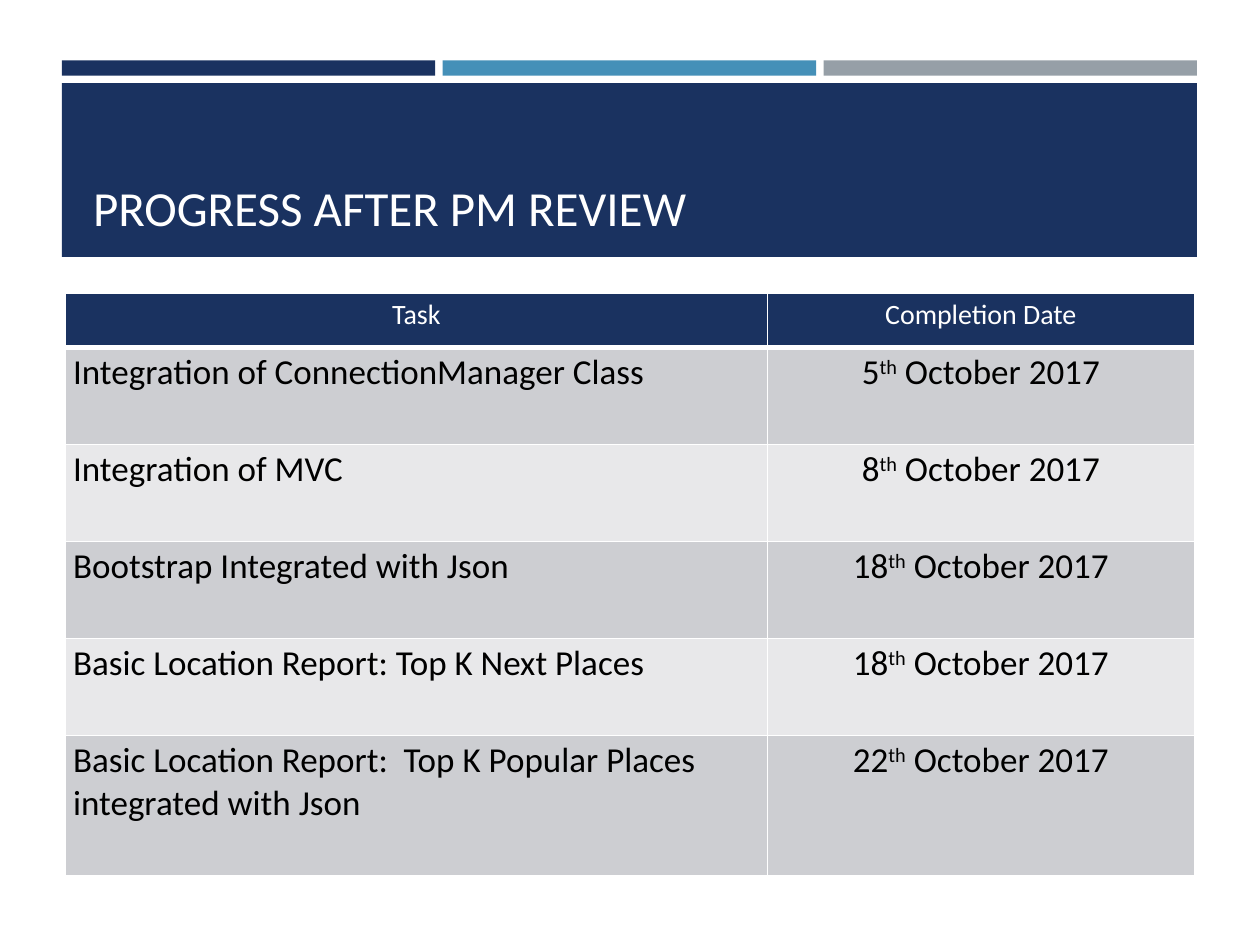
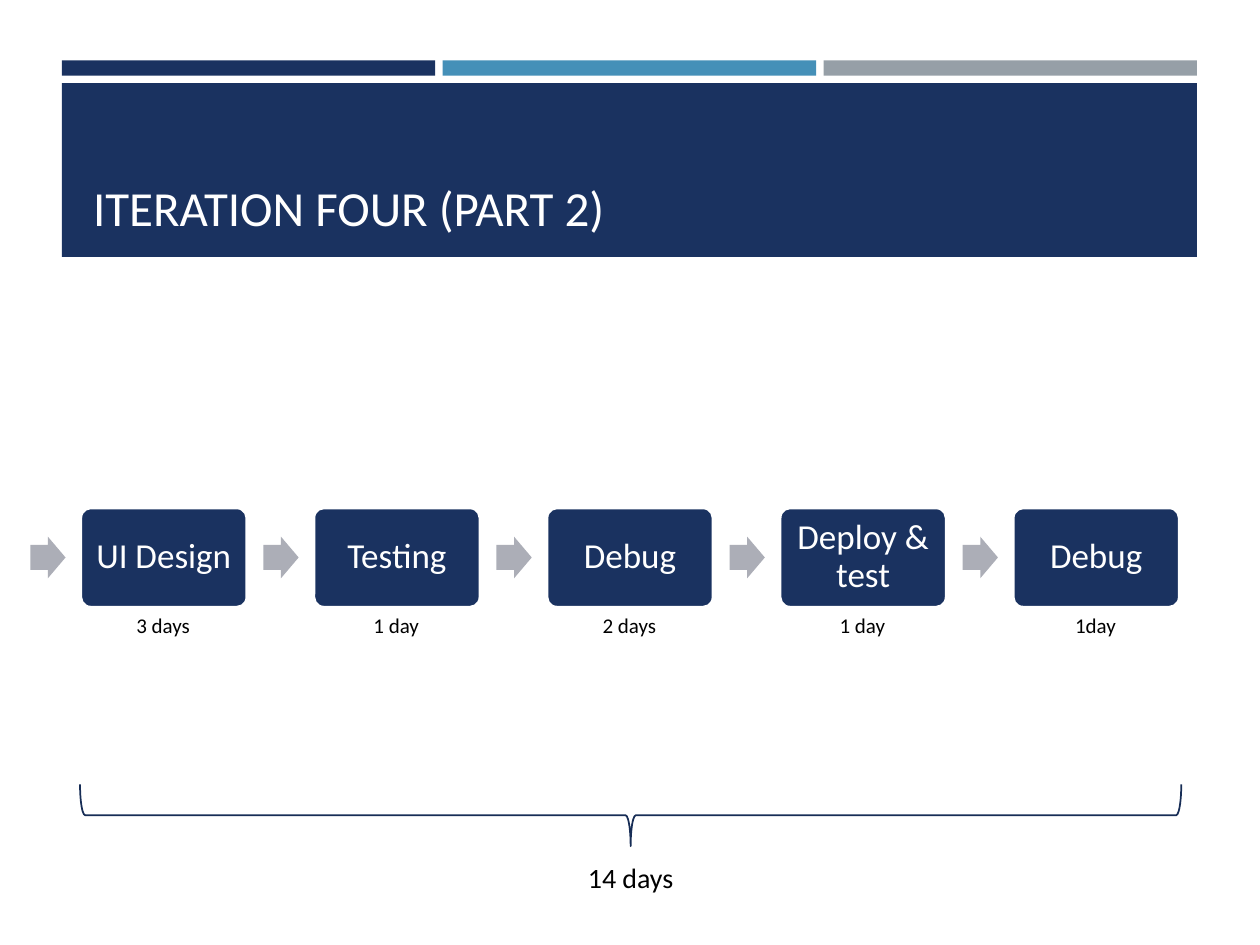
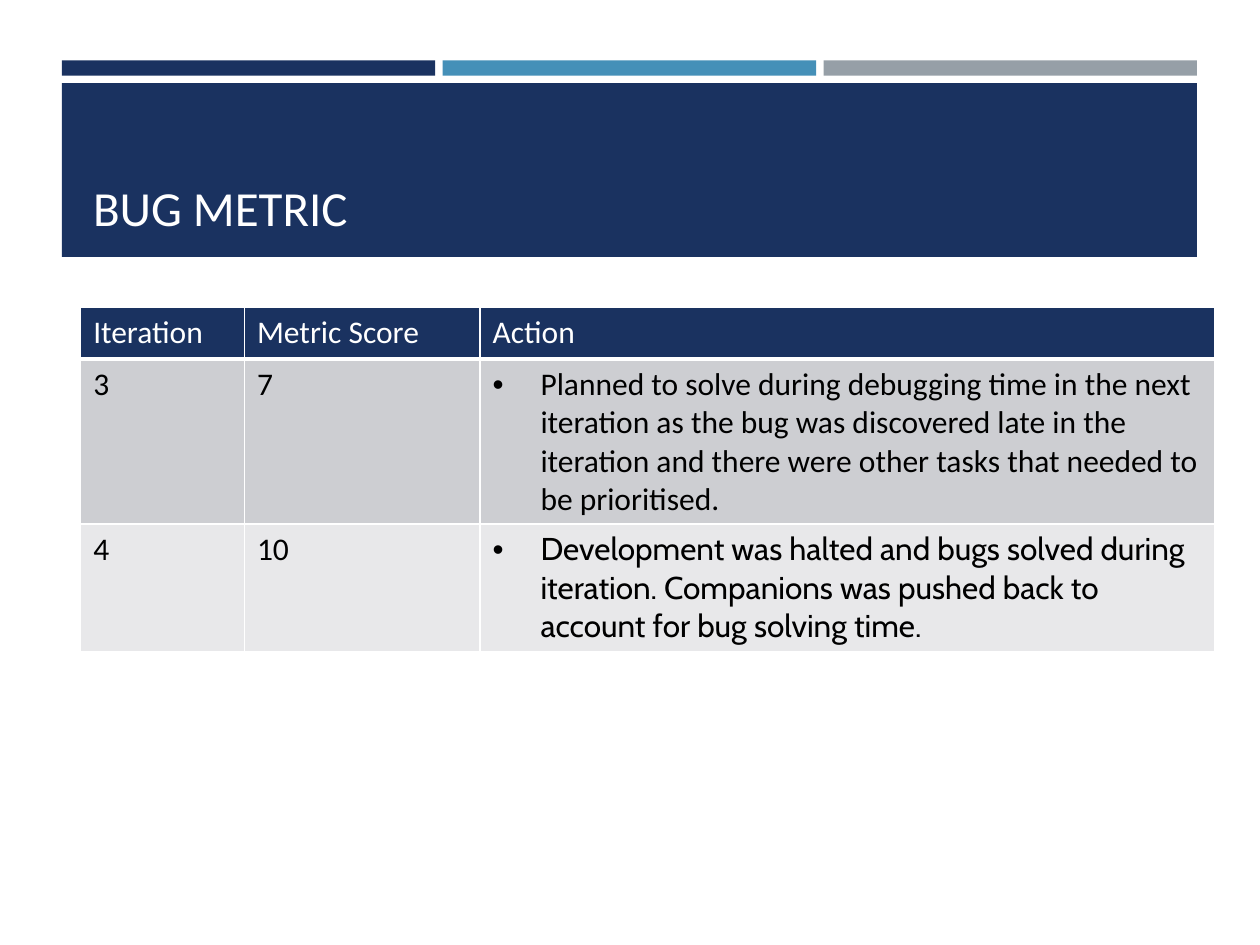
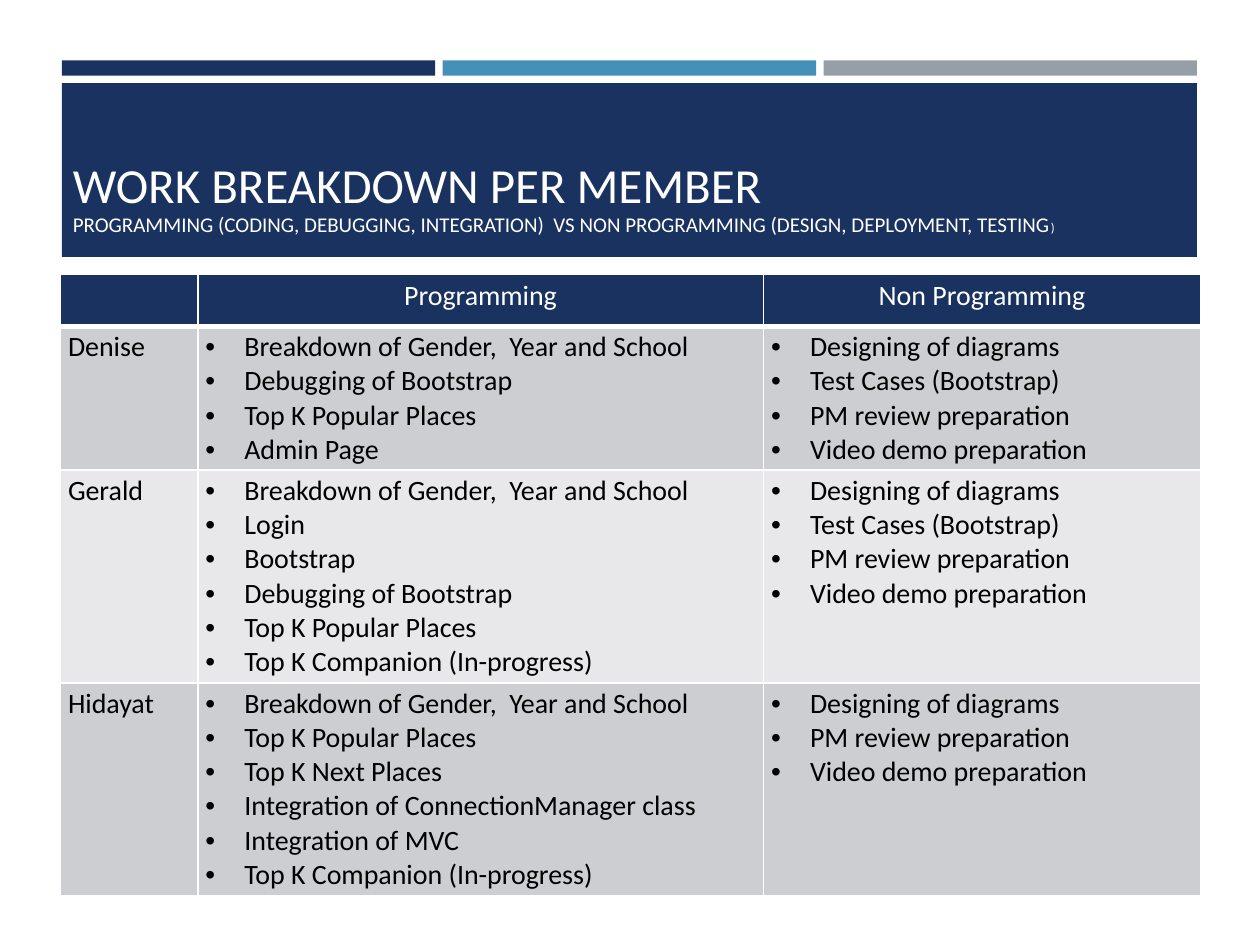
from lxml.etree import SubElement
from pptx import Presentation
from pptx.dml.color import RGBColor
from pptx.enum.shapes import MSO_SHAPE
from pptx.enum.text import MSO_ANCHOR, PP_ALIGN
from pptx.oxml.ns import qn
from pptx.util import Inches, Pt

NAVY = RGBColor(0x1A, 0x32, 0x60)
BLUE = RGBColor(0x45, 0x90, 0xB8)
GREY = RGBColor(0x96, 0x9F, 0xA7)
ARROW_GREY = RGBColor(0xAC, 0xAE, 0xB7)
BRACE_NAVY = RGBColor(0x17, 0x2D, 0x56)
DARK_ROW = RGBColor(0xCD, 0xCE, 0xD2)
LIGHT_ROW = RGBColor(0xE8, 0xE8, 0xEA)
WHITE = RGBColor(0xFF, 0xFF, 0xFF)
BLACK = RGBColor(0x00, 0x00, 0x00)
FONT = "Calibri"


def write(para, text, size, color=BLACK):
    """Append a run in the deck's font and return it."""
    span = para.add_run()
    span.text = text
    span.font.name = FONT
    span.font.size = Pt(size)
    span.font.bold = False
    span.font.color.rgb = color
    return span


def add_grid(page, left, top, widths, heights, rows, head_size, size,
             head_align=PP_ALIGN.CENTER, inset=0.06, indent=0.31):
    """Add a banded table; a cell given as a list becomes bullets."""
    grid = page.shapes.add_table(
        len(rows), len(widths), Inches(left), Inches(top),
        Inches(sum(widths)), Inches(sum(heights))).table
    for column, width in zip(grid.columns, widths):
        column.width = Inches(width)
    for r, (height, row) in enumerate(zip(heights, rows)):
        grid.rows[r].height = Inches(height)
        for c, content in enumerate(row):
            cell = grid.cell(r, c)
            cell.margin_left = cell.margin_right = Inches(inset)
            cell.margin_top = cell.margin_bottom = Inches(inset / 2)
            props = cell._tc.get_or_add_tcPr()
            for side in ("lnL", "lnR", "lnT", "lnB"):
                weight = 3 if r == 0 and side == "lnB" else 1
                border = SubElement(props, qn(f"a:{side}"), w=str(Pt(weight)))
                paint = SubElement(border, qn("a:solidFill"))
                SubElement(paint, qn("a:srgbClr"), val=str(WHITE))
            cell.fill.solid()
            cell.fill.fore_color.rgb = NAVY if r == 0 else (LIGHT_ROW, DARK_ROW)[r % 2]

            bulleted = isinstance(content, list)
            for i, text in enumerate(content if bulleted else [content]):
                frame = cell.text_frame
                para = frame.paragraphs[0] if i == 0 else frame.add_paragraph()
                if bulleted:
                    layout = para._p.get_or_add_pPr()
                    layout.set("marL", str(Inches(indent)))
                    layout.set("indent", str(-Inches(indent)))
                    SubElement(layout, qn("a:buFont"), typeface="Arial")
                    SubElement(layout, qn("a:buChar"), char="•")
                if r == 0:
                    para.alignment = head_align
                if text:
                    write(para, text, head_size if r == 0 else size,
                          WHITE if r == 0 else BLACK)
    return grid


deck = Presentation()
deck.slide_width = Inches(10)
deck.slide_height = Inches(7.5)

# Every page: three coloured strips above a title band
strip_gap = 0.06
strip_width = (9.01 - 2 * strip_gap) / 3
bands = [(0.49 + i * (strip_width + strip_gap), 0.48, strip_width, 0.12, color)
         for i, color in enumerate((NAVY, BLUE, GREY))]
bands.append((0.49, 0.66, 9.01, 1.38, NAVY))

titles = [
    ("PROGRESS AFTER PM REVIEW", 0.64),
    ("ITERATION FOUR (PART 2)", 0.64),
    ("BUG METRIC", 0.64),
    ("WORK BREAKDOWN PER MEMBER", 0.48),
]
pages = []
title_paras = []
for title, title_left in titles:
    page = deck.slides.add_slide(deck.slide_layouts[6])
    for left, top, width, height, color in bands:
        band = page.shapes.add_shape(
            MSO_SHAPE.RECTANGLE, Inches(left), Inches(top), Inches(width), Inches(height))
        band.shadow.inherit = False
        band.fill.solid()
        band.fill.fore_color.rgb = color
        band.line.fill.background()
    box = page.shapes.add_textbox(
        Inches(title_left), Inches(0.75), Inches(8.94), Inches(1.18))
    box.text_frame.word_wrap = True
    box.text_frame.vertical_anchor = MSO_ANCHOR.BOTTOM
    para = box.text_frame.paragraphs[0]
    para.line_spacing = 0.9
    write(para, title, 28, WHITE)
    pages.append(page)
    title_paras.append(para)
progress_page, iteration_page, bug_page, work_page = pages

# Progress after PM review
progress = [
    ("Integration of ConnectionManager Class", "5"),
    ("Integration of MVC", "8"),
    ("Bootstrap Integrated with Json", "18"),
    ("Basic Location Report: Top K Next Places", "18"),
    ("Basic Location Report:  Top K Popular Places integrated with Json", "22"),
]
progress_rows = [("Task", "Completion Date")] + [(task, "") for task, day in progress]
grid = add_grid(progress_page, 0.52, 2.33, [5.57, 3.39], [0.43] + [0.77] * 4 + [1.11],
                progress_rows, head_size=16, size=20)
for r, (task, day) in enumerate(progress, start=1):
    para = grid.cell(r, 1).text_frame.paragraphs[0]
    para.alignment = PP_ALIGN.CENTER
    write(para, day, 20)
    ordinal = write(para, "th", 20)
    ordinal._r.get_or_add_rPr().set("baseline", "30000")
    write(para, " October 2017", 20)

# Iteration four
steps = [
    ("UI Design", "3 days"),
    ("Testing", "1 day"),
    ("Debug", "2 days"),
    ("Deploy & test", "1 day"),
    ("Debug", "1day"),
]
labels = []
for i, (step, duration) in enumerate(steps):
    left = 0.64 + i * 1.85
    arrow = iteration_page.shapes.add_shape(
        MSO_SHAPE.RIGHT_ARROW, Inches(left - 0.4), Inches(4.26), Inches(0.28), Inches(0.33))
    arrow.adjustments[0] = 0.6
    arrow.shadow.inherit = False
    arrow.fill.solid()
    arrow.fill.fore_color.rgb = ARROW_GREY
    arrow.line.fill.background()

    block = iteration_page.shapes.add_shape(
        MSO_SHAPE.ROUNDED_RECTANGLE, Inches(left), Inches(4.03), Inches(1.32), Inches(0.79))
    block.adjustments[0] = 0.1
    block.shadow.inherit = False
    block.fill.solid()
    block.fill.fore_color.rgb = NAVY
    block.line.color.rgb = WHITE
    block.line.width = Pt(1.75)
    frame = block.text_frame
    frame.word_wrap = True
    frame.vertical_anchor = MSO_ANCHOR.MIDDLE
    frame.margin_left = frame.margin_right = Inches(0.1)
    frame.margin_top = frame.margin_bottom = Inches(0.1)
    para = frame.paragraphs[0]
    para.alignment = PP_ALIGN.CENTER
    para.line_spacing = 0.9
    write(para, step, 20, WHITE)
    labels.append((duration, left + 0.12, 4.81, 0.3, 12))

brace = iteration_page.shapes.add_shape(
    MSO_SHAPE.RIGHT_BRACE, Inches(4.76), Inches(2.1), Inches(0.49), Inches(8.74))
brace.rotation = 90
brace.shadow.inherit = False
brace.fill.background()
brace.line.color.rgb = BRACE_NAVY
brace.line.width = Pt(1)

labels.append(("14 days", 4.47, 6.78, 0.37, 16))
for text, left, top, height, size in labels:
    box = iteration_page.shapes.add_textbox(
        Inches(left), Inches(top), Inches(1.07), Inches(height))
    box.text_frame.word_wrap = True
    para = box.text_frame.paragraphs[0]
    para.alignment = PP_ALIGN.CENTER
    write(para, text, size)

# Bug metric
bug_rows = [
    ("Iteration", "Metric Score", "Action"),
    ("3", "7", ["Planned to solve during debugging time in the next iteration as the bug was "
                "discovered late in the iteration and there were other tasks that needed to "
                "be prioritised."]),
    ("4", "10", ["Development was halted and bugs solved during iteration. Companions was "
                 "pushed back to account for bug solving time."]),
]
grid = add_grid(bug_page, 0.64, 2.44, [1.3, 1.87, 5.83], [0.41, 1.31, 1.01], bug_rows,
                head_size=18, size=18, head_align=PP_ALIGN.LEFT, inset=0.1, indent=0.38)
grid.cell(2, 2).text_frame.paragraphs[0].runs[0].font.name = "Cabin"

# Work breakdown per member
subtitle = title_paras[3]
subtitle.add_line_break()
write(subtitle, "PROGRAMMING (CODING, DEBUGGING, INTEGRATION)  VS NON PROGRAMMING "
                "(DESIGN, DEPLOYMENT, TESTING", 12, WHITE)
write(subtitle, ")", 7.3, WHITE)

work_rows = [
    ("", "Programming", "Non Programming"),
    ("Denise",
     ["Breakdown of Gender,  Year and School", "Debugging of Bootstrap",
      "Top K Popular Places", "Admin Page"],
     ["Designing of diagrams", "Test Cases (Bootstrap)",
      "PM review preparation", "Video demo preparation"]),
    ("Gerald",
     ["Breakdown of Gender,  Year and School", "Login", "Bootstrap",
      "Debugging of Bootstrap", "Top K Popular Places", "Top K Companion (In-progress)"],
     ["Designing of diagrams", "Test Cases (Bootstrap)",
      "PM review preparation", "Video demo preparation"]),
    ("Hidayat",
     ["Breakdown of Gender,  Year and School", "Top K Popular Places", "Top K Next Places",
      "Integration of ConnectionManager class", "Integration of MVC",
      "Top K Companion (In-progress)"],
     ["Designing of diagrams", "PM review preparation", "Video demo preparation"]),
]
add_grid(work_page, 0.48, 2.18, [1.09, 4.49, 3.47], [0.41, 1.14, 1.69, 1.69], work_rows,
         head_size=16, size=16)

deck.save("out.pptx")
